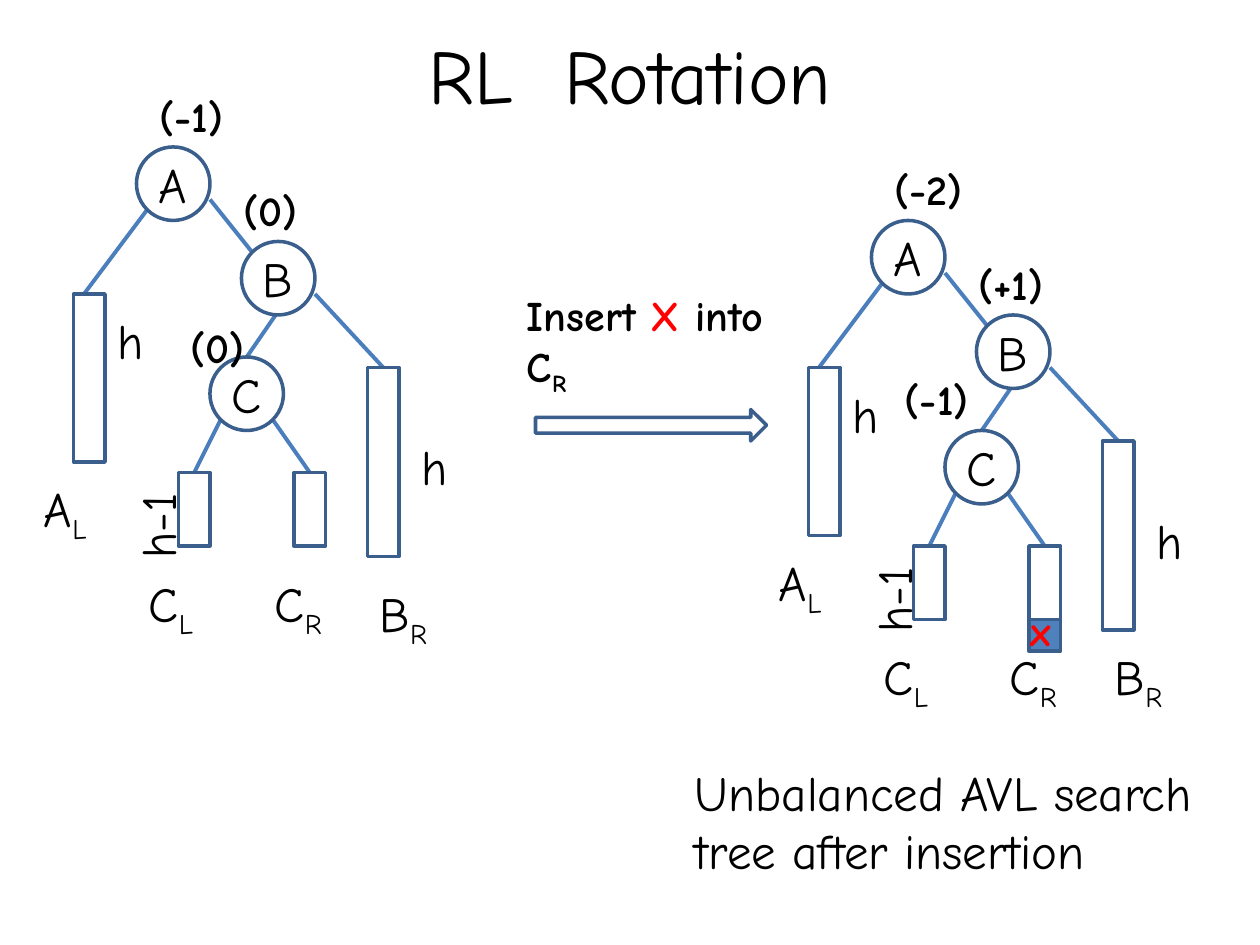
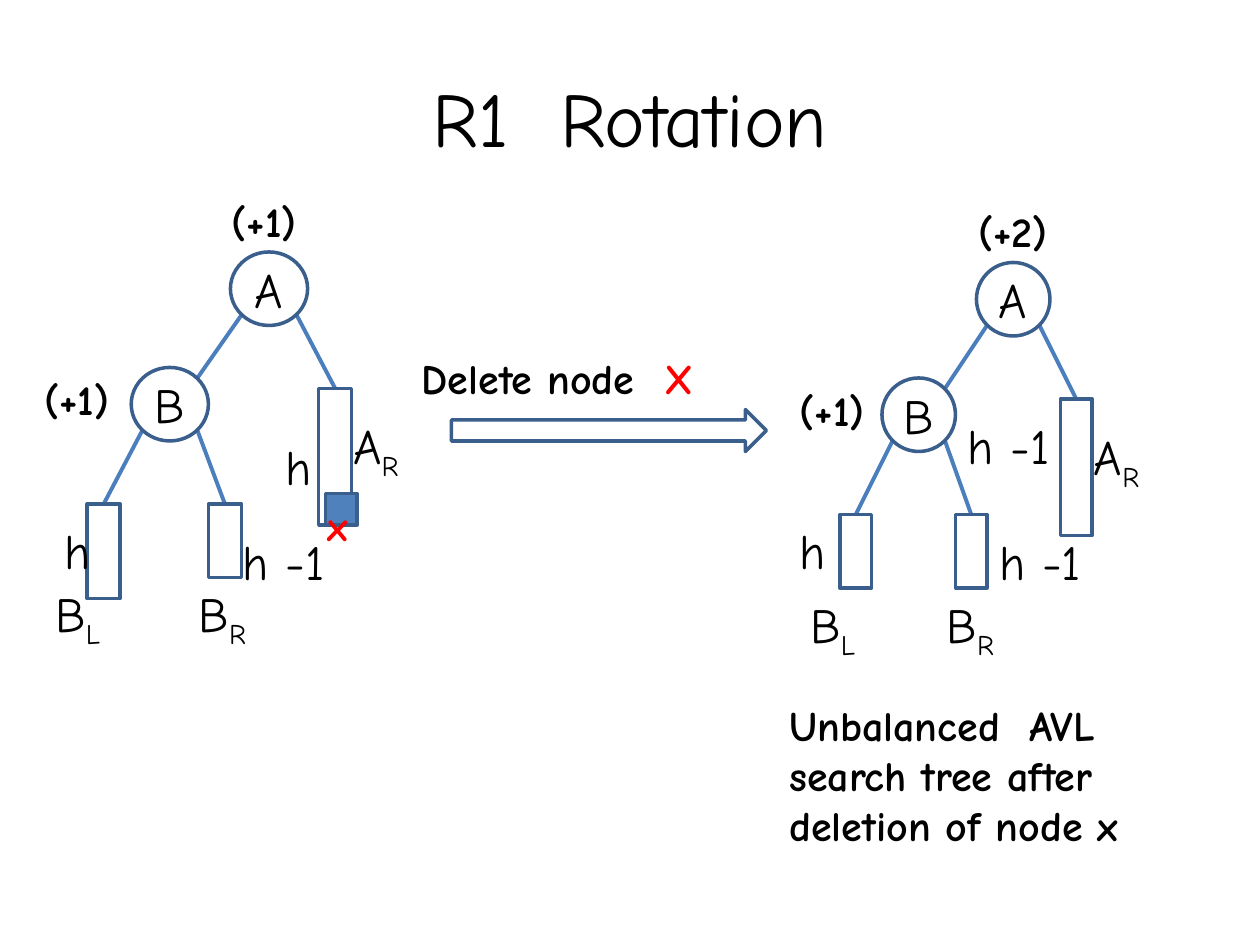
from pptx import Presentation
from pptx import util as u
from pptx.dml.color import RGBColor
from pptx.enum import shapes, text
from lxml import etree

CELL = u.Inches(1) / 12
COLS, ROWS = 120, 90
FONT = "Comic Neue"
BLACK, RED, BLUE = "000000", "FF0000", "4F81BD"
OUTLINE, EDGE = "3A5F8C", "4B7EBC"
A_NS = "http://schemas.openxmlformats.org/drawingml/2006/main"

TITLE = {"size": u.Pt(44), "bold": False}
LABEL = {"size": u.Pt(28), "bold": False}
STRONG = {"size": u.Pt(24), "bold": True}

RL_TREE = {
    "nodes": [("A", 13, 14), ("B", 23, 23), ("C", 20, 34)],
    "subtrees": [(7, 28, 16), (17, 45, 7), (28, 45, 7), (35, 35, 18)],
    "edges": [(14, 20, 8, 28), (20, 19, 24, 24), (26.25, 30, 23.5, 34),
              (30, 28, 36.5, 35), (21, 40, 18.5, 45), (26, 40, 29.5, 45)],
    "labels": [("h", 10, 29, 4), ("h", 39, 41, 4), ("A_L", 3, 45, 10),
               ("C_L", 13, 54, 10), ("C_R", 25, 54, 10)],
}
R1_TREE = {
    "nodes": [("A", 93, 25), ("B", 84, 36)],
    "subtrees": [(101, 38, 13), (91, 49, 7)],
    "edges": [(94, 31, 90, 37), (85, 42, 81.5, 49),
              (90, 42, 92.5, 49), (99, 31, 102.5, 38)],
    "labels": [("A_R", 103, 40, 10), ("B_L", 76, 56, 10), ("B_R", 89, 56, 10)],
}


def rgb(value):
    """Turn a hex string into a colour."""
    return RGBColor.from_string(value)


def cells(*counts):
    """Turn counts of grid cells into lengths."""
    return [round(n * CELL) for n in counts]


def write(tf, runs, style, align=text.PP_ALIGN.LEFT):
    """Write (text, colour) runs; an underscore starts a subscript."""
    p = tf.paragraphs[0]
    p.alignment = align
    for words, color in runs:
        for level, part in enumerate(words.split("_")):
            r = p.add_run()
            r.text = part
            for name, value in {"name": FONT, **style}.items():
                setattr(r.font, name, value)
            r.font.color.rgb = rgb(color)
            if level:
                r._r.get_or_add_rPr().set("baseline", "-25000")


def add_text(s, runs, x, y, w, h, style, align=text.PP_ALIGN.LEFT):
    """Add a wrapping text box on the grid."""
    if isinstance(runs, str):
        runs = [(runs, BLACK)]
    sp = s.shapes.add_textbox(*cells(x, y, w, h))
    sp.text_frame.word_wrap = True
    write(sp.text_frame, runs, style, align)
    return sp


def add_title(s, words, y, h):
    """Add the centred slide title."""
    sp = add_text(s, words, 0.05 * COLS, y, 0.9 * COLS, h, TITLE,
                  text.PP_ALIGN.CENTER)
    sp.text_frame.vertical_anchor = text.MSO_ANCHOR.MIDDLE


def add_outline(s, kind, x, y, w, h, fill=None):
    """Add an outlined preset shape, hollow unless a fill is given."""
    sp = s.shapes.add_shape(kind, *cells(x, y, w, h))
    sp.shadow.inherit = False
    if fill:
        sp.fill.solid()
        sp.fill.fore_color.rgb = rgb(fill)
    else:
        sp.fill.background()
    sp.line.color.rgb = rgb(OUTLINE)
    sp.line.width = u.Pt(2)
    return sp


def add_node(s, name, x, y, w):
    """Add a round tree node with its letter."""
    sp = add_outline(s, shapes.MSO_SHAPE.OVAL, x, y, w, 7)
    tf = sp.text_frame
    tf.word_wrap = False
    tf.vertical_anchor = text.MSO_ANCHOR.MIDDLE
    write(tf, [(name, BLACK)], LABEL, text.PP_ALIGN.CENTER)


def add_edge(s, x1, y1, x2, y2):
    """Add a straight tree edge."""
    sp = s.shapes.add_connector(shapes.MSO_CONNECTOR.STRAIGHT,
                                *cells(x1, y1, x2, y2))
    sp.line.color.rgb = rgb(EDGE)
    sp.line.width = u.Pt(2.25)
    etree.SubElement(sp._element.spPr, f"{{{A_NS}}}effectLst")


def add_tree(s, tree, balances, subtrees=(), labels=(), dx=0, dy=0, sx=1):
    """Draw a tree, moved by dx and dy cells and widened by sx."""
    def at(x):
        """Place a column of the tree on the slide."""
        return x * sx + dx

    for x1, y1, x2, y2 in tree["edges"]:
        add_edge(s, at(x1), y1 + dy, at(x2), y2 + dy)
    for x, y, h in [*tree["subtrees"], *subtrees]:
        add_outline(s, shapes.MSO_SHAPE.RECTANGLE, at(x), y + dy, 3 * sx, h)
    for name, x, y in tree["nodes"]:
        add_node(s, name, at(x), y + dy, 7 * sx)
    for words, x, y, w in [*tree["labels"], *labels]:
        add_text(s, words, at(x), y + dy, w * sx, 6.8, LABEL)
    for words, x, y in balances:
        add_text(s, words, at(x), y + dy, 11 * sx, 6, STRONG)


def add_height(s, x, y):
    """Add a height label that reads upwards."""
    add_text(s, "h-1", x, y, 16, 6.8, LABEL).rotation = 270


def add_mark(s, x, y, text_x, text_y):
    """Add the filled cell and red x of the changed node."""
    add_outline(s, shapes.MSO_SHAPE.RECTANGLE, x, y, 3, 3, BLUE)
    add_text(s, [("x", RED)], text_x, text_y, 6, 6, STRONG)


def rl_slide(s):
    """Build the insertion slide."""
    add_title(s, "RL  Rotation", 2, 10)
    add_tree(s, RL_TREE, [("(-1)", 14, 8), ("(0)", 22, 17), ("(0)", 17, 30)],
             labels=[("B_R", 35, 55, 10)])
    add_tree(s, RL_TREE, [("(-2)", 14, 8), ("(+1)", 22, 17), ("(-1)", 15, 28)],
             labels=[("B_R", 35, 54, 10)], dx=70, dy=7)
    add_height(s, 7, 43)
    add_height(s, 77, 50)
    add_mark(s, 98, 59, 97, 57)
    add_text(s, [("Insert ", BLACK), ("X ", RED), ("into C_R", BLACK)],
             49, 27, 26, 11, STRONG)
    add_outline(s, shapes.MSO_SHAPE.RIGHT_ARROW, 51, 39, 22, 3)
    add_text(s, "Unbalanced AVL search tree after insertion",
             65, 72, 52, 18, LABEL)


def r1_slide(s):
    """Build the deletion slide."""
    add_title(s, "R1  Rotation", 3.6, 15)
    add_tree(s, R1_TREE, [("(+1)", 92, 19), ("(+1)", 75, 36)],
             subtrees=[(80, 49, 9)], labels=[("h -1", 93, 51, 13)],
             dx=-75.7, dy=-1, sx=1.05)
    add_tree(s, R1_TREE, [("(+2)", 92, 19), ("(+1)", 75, 36)],
             subtrees=[(80, 49, 7)],
             labels=[("h", 75, 49, 4), ("h -1", 91, 39, 15),
                     ("h -1", 94, 50, 15)])
    for x, y in [(26, 41), (5, 49)]:
        add_text(s, "h", x, y, 4, 6.8, LABEL)
    add_mark(s, 31, 47, 30, 47)
    add_text(s, [("Delete node  ", BLACK), ("X", RED)], 39, 33, 35, 6, STRONG)
    add_outline(s, shapes.MSO_SHAPE.RIGHT_ARROW, 43, 39, 30, 4)
    add_text(s, "Unbalanced  AVL search tree after deletion of node x",
             74, 66, 38, 20.6, STRONG)


def main():
    """Build and save the deck."""
    prs = Presentation()
    prs.slide_width, prs.slide_height = cells(COLS, ROWS)
    for build in (rl_slide, r1_slide):
        build(prs.slides.add_slide(prs.slide_layouts[6]))
    prs.save("out.pptx")


if __name__ == "__main__":
    main()
